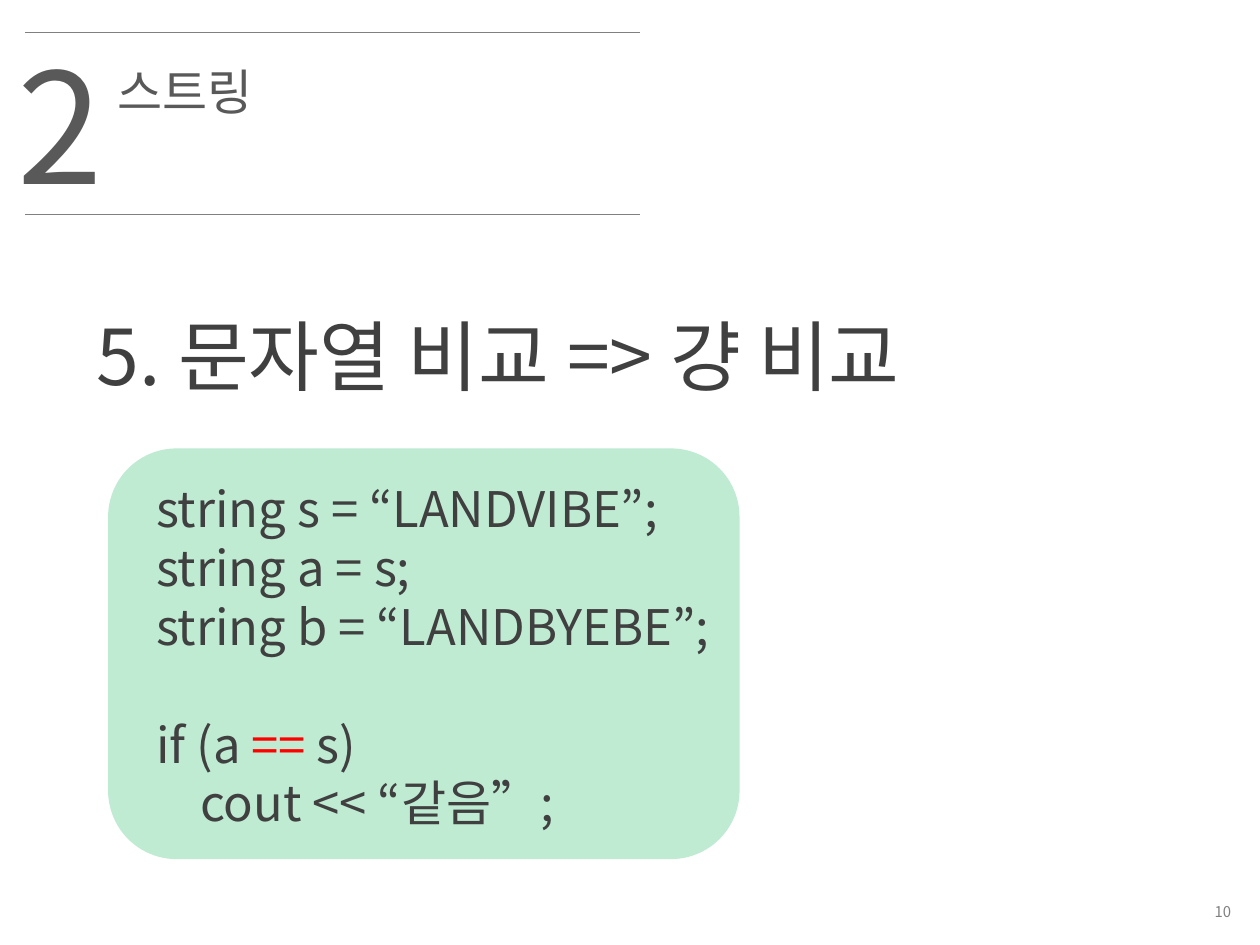
from lxml.etree import SubElement
from pptx import Presentation
from pptx.dml.color import RGBColor
from pptx.enum.shapes import MSO_CONNECTOR, MSO_SHAPE
from pptx.enum.text import MSO_ANCHOR, MSO_AUTO_SIZE, PP_ALIGN
from pptx.oxml.ns import qn
from pptx.util import Cm, Pt

FONT = "Noto Sans CJK KR"
COLORS = {
    "rule": "808080",
    "title": "595959",
    "text": "404040",
    "operator": "FF0000",
    "panel": "00B050",
}


def add_run(p, text, size, color):
    r = p.add_run()
    r.text = text
    r.font.size = Pt(size)
    r.font.name = FONT
    r.font.color.rgb = RGBColor.from_string(COLORS[color])
    SubElement(r.font._element, qn("a:ea"), typeface=FONT)


def place(sp, left, top, width, height, anchor=MSO_ANCHOR.TOP):
    """Position a text shape in centimetres and return its text frame."""
    sp.left, sp.top, sp.width, sp.height = map(Cm, (left, top, width, height))
    tf = sp.text_frame
    tf.word_wrap = True
    tf.auto_size = MSO_AUTO_SIZE.NONE
    tf.vertical_anchor = anchor
    tf.paragraphs[0].alignment = PP_ALIGN.LEFT
    return tf


prs = Presentation()
prs.slide_width, prs.slide_height = Cm(25.4), Cm(19.05)
s = prs.slides.add_slide(prs.slide_layouts[5])

# Code panel
panel = s.shapes.add_shape(MSO_SHAPE.ROUNDED_RECTANGLE, Cm(2.18), Cm(9.04), Cm(12.73), Cm(8.28))
panel.shadow.inherit = False
panel.line.fill.background()
panel.fill.solid()
panel.fill.fore_color.rgb = RGBColor.from_string(COLORS["panel"])
color = panel._element.spPr.find(qn("a:solidFill"))[0]
SubElement(color, qn("a:alpha"), val="25000")

# Rules above and below the section header
for y in (0.66, 4.32):
    rule = s.shapes.add_connector(MSO_CONNECTOR.STRAIGHT, Cm(0.5), Cm(y), Cm(12.9), Cm(y))
    rule.line.width = Pt(0.75)
    rule.line.color.rgb = RGBColor.from_string(COLORS["rule"])
    SubElement(rule._element.spPr, qn("a:effectLst"))

# Section header
tf = place(s.shapes.title, 2.11, 1.12, 5.4, 1.45)
add_run(tf.paragraphs[0], "스트링", 28, "title")
tf = place(s.shapes.add_textbox(0, 0, 0, 0), 0.1, 0.5, 2.01, 4.01)
add_run(tf.paragraphs[0], "2", 88, "title")

# Topic
tf = place(s.shapes.add_textbox(0, 0, 0, 0), 1.7, 6.1, 23.7, 2.13)
add_run(tf.paragraphs[0], "5. 문자열 비교 => 걍 비교", 44, "text")

# Code: each line is a list of runs, after the space before the line
code = [
    (0, [("string s = “LANDVIBE”;", "text")]),
    (0, [("string a = s;", "text")]),
    (0, [("string b = “LANDBYEBE”;", "text")]),
    (33.5, [("if (a ", "text"), ("==", "operator"), (" s)", "text")]),
    (0, [("    cout << “같음”;", "text")]),
]
tf = place(s.shapes.add_textbox(0, 0, 0, 0), 2.9, 9.53, 12.19, 7.44)
for i, (gap, runs) in enumerate(code):
    p = tf.add_paragraph() if i else tf.paragraphs[0]
    p.space_before = Pt(gap)
    for text, color in runs:
        add_run(p, text, 28, color)

# Page number
tf = place(s.shapes.add_textbox(0, 0, 0, 0), 19.71, 18.03, 5.36, 0.69, MSO_ANCHOR.MIDDLE)
tf.paragraphs[0].alignment = PP_ALIGN.RIGHT
add_run(tf.paragraphs[0], "10", 8.5, "rule")

prs.save("out.pptx")
